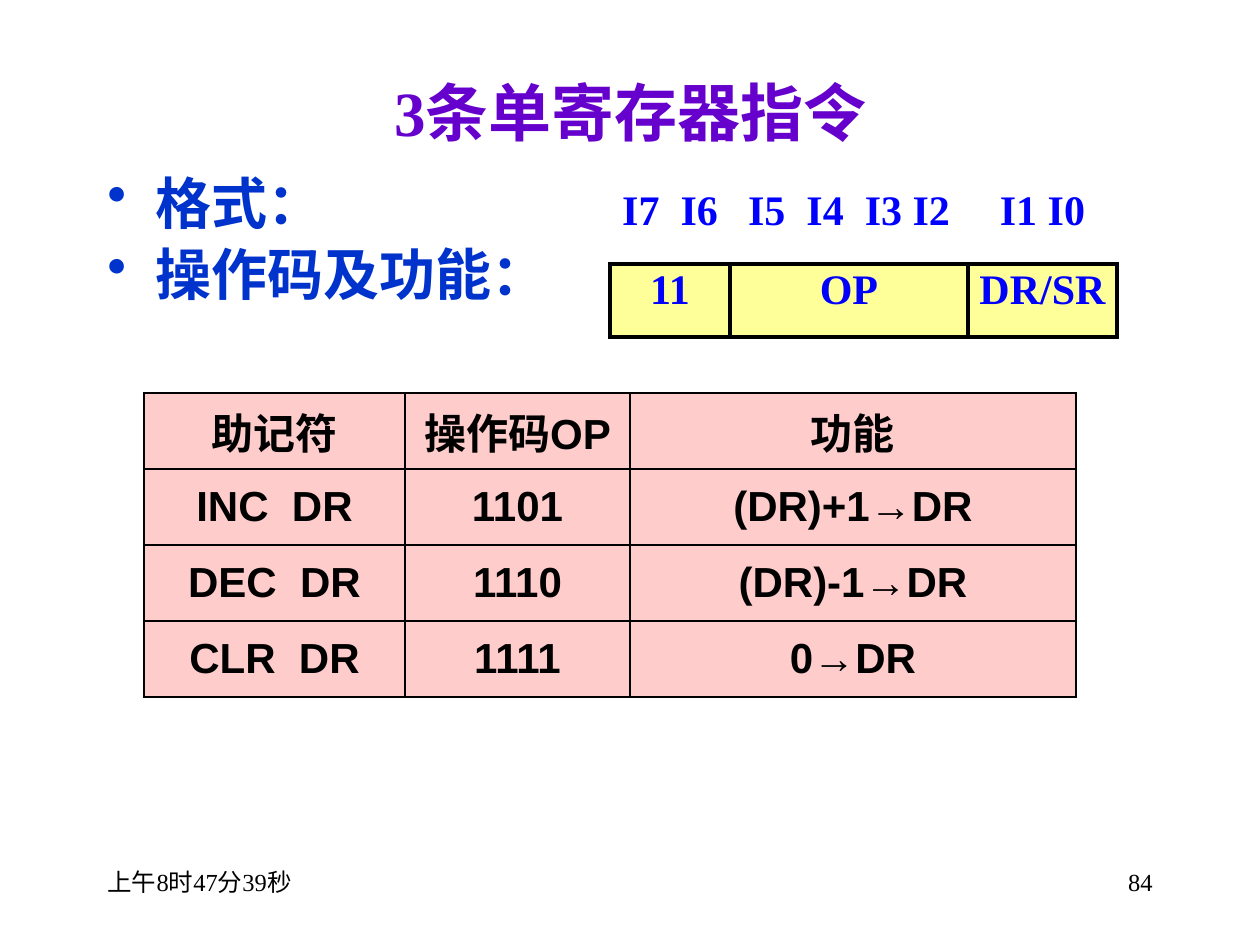
from lxml.etree import SubElement
from pptx import Presentation
from pptx.dml.color import RGBColor
from pptx.enum.text import MSO_ANCHOR, PP_ALIGN
from pptx.oxml.ns import qn
from pptx.util import Pt

PX = 914400 / 126
SERIF, SANS = "Times New Roman", "Arial"
PURPLE = RGBColor(0x66, 0x00, 0xCC)
NAVY = RGBColor(0x00, 0x33, 0xCC)
BLUE = RGBColor(0x00, 0x00, 0xFF)
BLACK = RGBColor(0x00, 0x00, 0x00)
YELLOW = RGBColor(0xFF, 0xFF, 0x99)
PINK = RGBColor(0xFF, 0xCC, 0xCC)

TITLE = "3条单寄存器指令"
POINTS = ["格式：", "操作码及功能："]
FORMAT = [
    ["I7  I6", "I5  I4  I3 I2", "I1 I0"],
    ["11", "OP", "DR/SR"],
]
CODES = [
    ["助记符", "操作码OP", "功能"],
    ["INC  DR", "1101", "(DR)+1→DR"],
    ["DEC  DR", "1110", "(DR)-1→DR"],
    ["CLR  DR", "1111", "0→DR"],
]
TIME, PAGE = "上午8时47分39秒", "84"


def emu(px):
    return round(px * PX)


def write(para, text, face, size, color, bold=True, align=PP_ALIGN.LEFT):
    para.alignment = align
    run = para.add_run()
    run.text = text
    font = run.font
    font.name, font.size, font.bold = face, Pt(size), bold
    font.color.rgb = color


def add_box(slide, *place):
    frame = slide.shapes.add_textbox(*map(emu, place)).text_frame
    frame.word_wrap = True
    return frame


def add_bullet(para, indent):
    props = para._p.get_or_add_pPr()
    props.set("marL", str(emu(indent)))
    props.set("indent", str(-emu(indent)))
    SubElement(props, qn("a:buChar")).set("char", "•")


def set_edges(cell, widths):
    """Draw black edges; widths maps each side to points, 0 for no line."""
    props = cell._tc.get_or_add_tcPr()
    for i, side in enumerate("LRTB"):
        width = widths[side]
        line = props.makeelement(qn(f"a:ln{side}"), {"w": str(Pt(width))})
        if width:
            fill = SubElement(line, qn("a:solidFill"))
            SubElement(fill, qn("a:srgbClr")).set("val", str(BLACK))
        else:
            SubElement(line, qn("a:noFill"))
        props.insert(i, line)


def add_grid(slide, rows, left, top, widths, heights):
    """Add a plain table and yield its row number, cell and text."""
    frame = slide.shapes.add_table(
        len(rows), len(widths), emu(left), emu(top),
        emu(sum(widths)), emu(sum(heights)))
    table = frame.table
    table.first_row = table.horz_banding = False
    for col, width in zip(table.columns, widths):
        col.width = emu(width)
    for row, height in zip(table.rows, heights):
        row.height = emu(height)
    for r, texts in enumerate(rows):
        for c, text in enumerate(texts):
            yield r, table.cell(r, c), text


def add_format(slide):
    for r, cell, text in add_grid(
            slide, FORMAT, 610, 185, [120, 238, 149], [79, 73]):
        cell.margin_left = cell.margin_right = emu(3)
        cell.margin_top = cell.margin_bottom = emu(3)
        write(cell.text_frame.paragraphs[0], text, SERIF, 24, BLUE,
              align=PP_ALIGN.CENTER)
        if r == 0:
            cell.fill.background()
            set_edges(cell, {"L": 0, "R": 0, "T": 0, "B": 2.25})
        else:
            cell.fill.solid()
            cell.fill.fore_color.rgb = YELLOW
            set_edges(cell, dict.fromkeys("LRTB", 2.25))


def add_codes(slide):
    for _, cell, text in add_grid(
            slide, CODES, 144, 393, [261, 225, 446], [76] * len(CODES)):
        cell.vertical_anchor = MSO_ANCHOR.MIDDLE
        write(cell.text_frame.paragraphs[0], text, SANS, 24, BLACK,
              align=PP_ALIGN.CENTER)
        cell.fill.solid()
        cell.fill.fore_color.rgb = PINK
        set_edges(cell, dict.fromkeys("LRTB", 1))


def add_points(slide):
    frame = add_box(slide, 95, 175, 470, 159)
    for i, text in enumerate(POINTS):
        para = frame.add_paragraph() if i else frame.paragraphs[0]
        para.line_spacing = 0.8
        para.space_after = Pt(4)
        if i:
            para.space_before = Pt(6)
        add_bullet(para, 48)
        write(para, text, SERIF, 32, NAVY)


def main():
    deck = Presentation()
    deck.slide_width, deck.slide_height = emu(1260), emu(945)
    slide = deck.slides.add_slide(deck.slide_layouts[6])

    title = add_box(slide, 95, 66, 1071, 91)
    title.vertical_anchor = MSO_ANCHOR.MIDDLE
    write(title.paragraphs[0], TITLE, SERIF, 36, PURPLE,
          align=PP_ALIGN.CENTER)
    add_points(slide)
    add_format(slide)
    add_codes(slide)
    for left, text, align in [(95, TIME, PP_ALIGN.LEFT),
                              (903, PAGE, PP_ALIGN.RIGHT)]:
        foot = add_box(slide, left, 861, 262, 63)
        write(foot.paragraphs[0], text, SERIF, 14, BLACK, False, align)
    deck.save("out.pptx")


if __name__ == "__main__":
    main()
